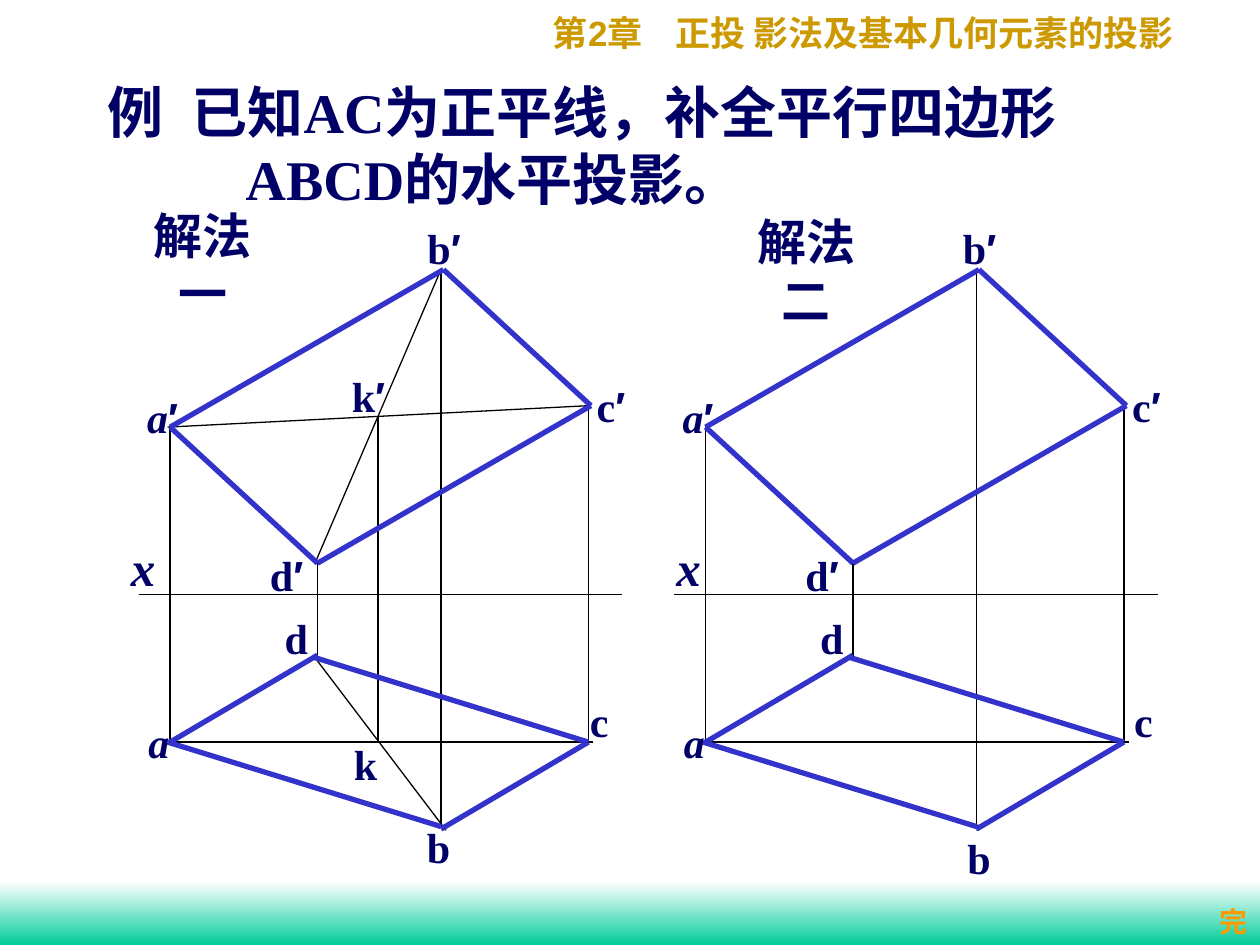
from lxml import etree
from pptx import Presentation
from pptx.dml.color import RGBColor
from pptx.enum.shapes import MSO_CONNECTOR, MSO_SHAPE
from pptx.enum.text import MSO_ANCHOR, MSO_AUTO_SIZE, PP_ALIGN
from pptx.oxml.ns import qn
from pptx.util import Inches, Pt

STRAIGHT = MSO_CONNECTOR.STRAIGHT
RECTANGLE = MSO_SHAPE.RECTANGLE
MIDDLE, TOP = MSO_ANCHOR.MIDDLE, MSO_ANCHOR.TOP
LEFT, CENTER = PP_ALIGN.LEFT, PP_ALIGN.CENTER
SERIF, SANS = "Times New Roman", "Arial"
NAVY, BLUE, BLACK = "000066", "3333CC", "000000"
THIN = {"color": BLACK, "width": 0.75}
THICK = {"color": BLUE, "width": 3}
PANEL_SHIFT = 4.25
LABEL_HEIGHT = 0.5

# Coordinates below are for the left panel; the right one is shifted.
FRONT = [(1.35, 3.39), (3.52, 2.14), (4.69, 3.22), (2.52, 4.47)]
PLAN_SIDES = [
    ((2.5, 5.22), (4.67, 5.89)),
    ((3.5, 6.58), (4.67, 5.89)),
    ((1.33, 5.89), (3.5, 6.56)),
    ((1.35, 5.89), (2.52, 5.2)),
]
SHARED_THIN = [
    ((1.1, 4.72), (4.94, 4.72)),    # x axis
    ((1.33, 5.89), (4.71, 5.89)),   # ac
    ((1.35, 3.39), (1.35, 5.89)),
    ((3.5, 2.14), (3.5, 6.56)),
    ((4.67, 3.22), (4.67, 5.89)),
    ((2.52, 4.47), (2.52, 5.22)),
]
DIAGONAL_METHOD = [
    ((1.33, 3.39), (4.67, 3.22)),   # a′c′
    ((3.5, 2.14), (2.5, 4.47)),     # b′d′
    ((2.5, 5.22), (3.54, 6.59)),    # db
    ((3, 3.31), (3, 5.89)),         # k′k
]
PARALLEL_METHOD = [
    ((1.35, 5.89), (3.54, 6.56)),   # ab
    ((3.5, 6.59), (4.66, 5.89)),    # bc
]
SHARED_LABELS = [
    ("a", 1.08, 5.64, 0.36), ("d", 2.16, 4.81, 0.38),
    ("a′", 1.05, 3.06, 0.48), ("d′", 2.03, 4.31, 0.49),
    ("b′", 3.28, 1.72, 0.49), ("c′", 4.62, 2.97, 0.46),
]
DIAGONAL_LABELS = [
    ("b", 3.29, 6.47, 0.38), ("c", 4.58, 5.47, 0.35),
    ("k", 2.71, 5.81, 0.38), ("k′", 2.68, 2.89, 0.49),
]
PARALLEL_LABELS = [("b", 3.33, 6.56, 0.38), ("c", 4.65, 5.47, 0.35)]


def rgb(value):
    return RGBColor.from_string(value)


def apply_format(target, values):
    for name, value in values.items():
        setattr(target, name, value)


def add_span(para, text, size, color=NAVY, name=SERIF, italic=False):
    span = para.add_run()
    span.text = text
    apply_format(span.font, {"size": Pt(size), "name": name, "bold": True, "italic": italic})
    span.font.color.rgb = rgb(color)


def add_tab_stop(para, position):
    tabs = etree.SubElement(para._p.get_or_add_pPr(), qn("a:tabLst"))
    etree.SubElement(tabs, qn("a:tab"), pos=str(Inches(position)), algn="l")


def add_text_box(page, left, top, width, height, wrap=False, anchor=TOP, align=LEFT):
    """Add an empty text box and return its first paragraph."""
    box = page.shapes.add_textbox(Inches(left), Inches(top), Inches(width), Inches(height))
    frame = box.text_frame
    apply_format(frame, {"word_wrap": wrap, "vertical_anchor": anchor,
                         "auto_size": MSO_AUTO_SIZE.SHAPE_TO_FIT_TEXT})
    para = frame.paragraphs[0]
    para.alignment = align
    return para


def add_line(page, start, end, style, shift):
    line = page.shapes.add_connector(
        STRAIGHT, Inches(start[0] + shift), Inches(start[1]),
        Inches(end[0] + shift), Inches(end[1]))
    line.line.color.rgb = rgb(style["color"])
    line.line.width = Pt(style["width"])
    etree.SubElement(line._element.spPr, qn("a:effectLst"))


def add_point_label(page, text, left, top, width, shift):
    para = add_text_box(page, left + shift, top, width, LABEL_HEIGHT,
                        anchor=MIDDLE, align=CENTER)
    add_span(para, text[0], 24, italic=text[0] == "a")
    if len(text) > 1:
        add_span(para, text[1], 24, name=SANS)


def add_projection(page, shift, extra_lines, extra_labels):
    for start, end in SHARED_THIN + extra_lines:
        add_line(page, start, end, THIN, shift)
    front_sides = list(zip(FRONT, FRONT[1:] + FRONT[:1]))
    for start, end in PLAN_SIDES + front_sides:
        add_line(page, start, end, THICK, shift)
    for label in SHARED_LABELS + extra_labels:
        add_point_label(page, *label, shift)


def add_footer_band(page):
    band = page.shapes.add_shape(RECTANGLE, 0, Inches(7), Inches(10), Inches(0.5))
    band.shadow.inherit = False
    band.line.fill.background()
    band.fill.gradient()
    band.fill.gradient_angle = 270
    for stop, color in zip(band.fill.gradient_stops, ("FFFFFF", "00CC99")):
        stop.color.rgb = rgb(color)


def add_chapter_header(page):
    para = add_text_box(page, 4.29, 0.04, 5.29, 0.44, wrap=True)
    add_tab_stop(para, 0.97)
    for text, name in (("第", SERIF), ("2", SANS), ("章\t正投 影法及基本几何元素的投影", SERIF)):
        add_span(para, text, 20, "CC9900", name)


def set_title(page):
    title = page.shapes.title
    apply_format(title, {"left": Inches(0.75), "top": Inches(0.56),
                         "width": Inches(8.58), "height": Inches(1.17)})
    frame = title.text_frame
    apply_format(frame, {"word_wrap": True, "vertical_anchor": MIDDLE,
                         "auto_size": MSO_AUTO_SIZE.NONE})
    first, second = frame.paragraphs[0], frame.add_paragraph()
    add_tab_stop(first, 0.67)
    second._p.get_or_add_pPr().set("marL", str(Inches(1.1)))
    for para, text in ((first, "例\t已知AC为正平线，补全平行四边形"),
                       (second, "ABCD的水平投影。")):
        para.alignment = LEFT
        add_span(para, text, 32)


def add_captions(page):
    for text, left, top in (("解法一", 0.93, 1.81), ("解法二", 5.72, 1.86)):
        para = add_text_box(page, left, top, 1.36, 0.57, anchor=MIDDLE, align=CENTER)
        add_span(para, text, 28)
    for left in (0.94, 5.27):
        add_span(add_text_box(page, left, 4.22, 0.39, 0.57), "x", 28, italic=True)
    add_span(add_text_box(page, 9.58, 7.13, 0.42, 0.37), "完", 16, "FF9900")


def main():
    deck = Presentation()
    deck.slide_width, deck.slide_height = Inches(10), Inches(7.5)
    page = deck.slides.add_slide(deck.slide_layouts.get_by_name("Title Only"))
    add_footer_band(page)
    add_chapter_header(page)
    set_title(page)
    add_projection(page, 0, DIAGONAL_METHOD, DIAGONAL_LABELS)
    add_projection(page, PANEL_SHIFT, PARALLEL_METHOD, PARALLEL_LABELS)
    add_captions(page)
    deck.save("out.pptx")


if __name__ == "__main__":
    main()
